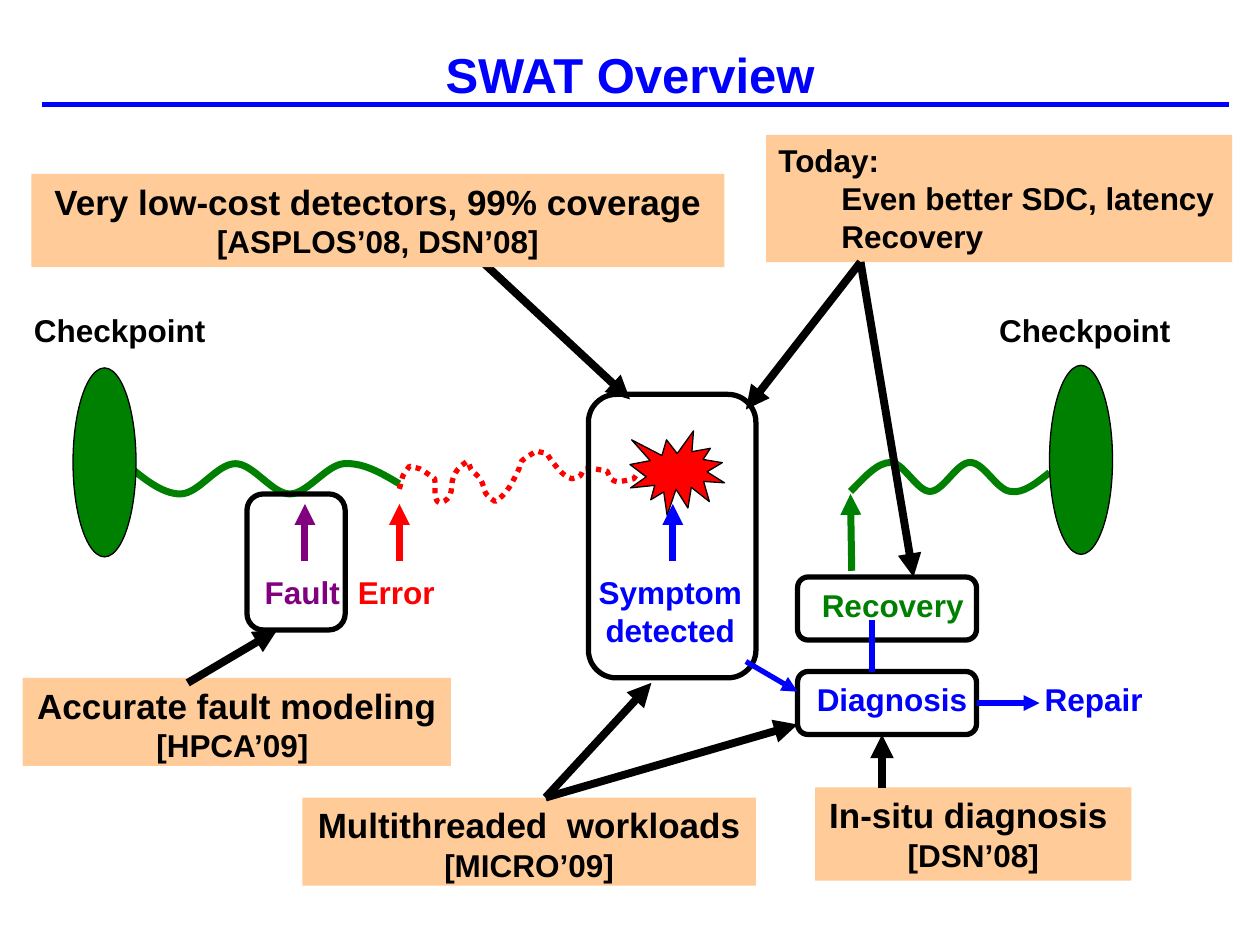
"""Build the SWAT overview slide."""
from lxml.etree import SubElement
from pptx import Presentation
from pptx.dml.color import RGBColor
from pptx.enum.dml import MSO_LINE as Dash
from pptx.enum.shapes import MSO_CONNECTOR as Link, MSO_SHAPE as Kind
from pptx.enum.text import MSO_ANCHOR as Anchor, PP_ALIGN as Align
from pptx.oxml.ns import qn
from pptx.util import Inches, Pt

BLACK = RGBColor(0, 0, 0)
BLUE = RGBColor(0, 0, 255)
GREEN = RGBColor(0, 128, 0)
RED = RGBColor(255, 0, 0)
PURPLE = RGBColor(128, 0, 128)
PEACH = RGBColor(255, 204, 153)

deck = Presentation()
deck.slide_width, deck.slide_height = Inches(10), Inches(7.5)
shapes = deck.slides.add_slide(deck.slide_layouts[6]).shapes


def write(frame, lines, sizes, color, align=Align.CENTER):
    frame.text = "\n".join(lines)
    for para, size in zip(frame.paragraphs, sizes):
        para.alignment = align
        para.font.name, para.font.size, para.font.bold = "Arial", Pt(size), True
        para.font.color.rgb = color


def join(x1, y1, x2, y2, color=BLACK, width=4.5, arrow=True):
    line = shapes.add_connector(Link.STRAIGHT, *map(Inches, (x1, y1, x2, y2)))
    line.line.color.rgb, line.line.width = color, Pt(width)
    if arrow:
        SubElement(line.line._get_or_add_ln(), qn("a:tailEnd"), type="triangle")
    SubElement(line._element.spPr, qn("a:effectLst"))


join(0.33, 0.83, 9.75, 0.83, BLUE, 3, False)
title = shapes.add_textbox(0, Inches(0.17), Inches(10), Inches(0.83)).text_frame
title.word_wrap = True
title.vertical_anchor = Anchor.MIDDLE
write(title, ["SWAT Overview"], [28], BLUE)

join(3.83, 2.08, 5, 3.17)

notes = [
    (6.47, 6.25, 2.51, 0.74, "In-situ diagnosis ", "[DSN’08]"),
    (0.25, 1.38, 5.5, 0.74, "Very low-cost detectors, 99% coverage", "[ASPLOS’08, DSN’08]"),
    (0.18, 5.38, 3.4, 0.7, "Accurate fault modeling", "[HPCA’09] "),
    (2.4, 6.33, 3.6, 0.7, "Multithreaded  workloads ", "[MICRO’09]"),
    (6.08, 1.07, 3.7, 1.01, "Today:", "Even better SDC, latency", "Recovery"),
]
for x, y, wide, high, *lines in notes:
    note = shapes.add_shape(Kind.RECTANGLE, *map(Inches, (x, y, wide, high)))
    note.shadow.inherit = False
    note.fill.solid()
    note.fill.fore_color.rgb = PEACH
    note.line.fill.background()
    frame = note.text_frame
    frame.vertical_anchor = Anchor.TOP
    if len(lines) == 2:
        write(frame, lines, [20, 18], BLACK)
    else:
        write(frame, lines, [18] * 3, BLACK, Align.LEFT)
        for para in frame.paragraphs[1:]:
            para._p.get_or_add_pPr().set("marL", str(Inches(0.5)))

figures = [
    (Kind.OVAL, 0.58, 2.92, 0.5, 1.5, GREEN),
    (Kind.OVAL, 8.33, 2.9, 0.5, 1.5, GREEN),
    (Kind.ROUNDED_RECTANGLE, 1.96, 3.92, 0.78, 1.08, None),
    (Kind.ROUNDED_RECTANGLE, 4.67, 3.13, 1.33, 2.25, None),
    (Kind.ROUNDED_RECTANGLE, 6.33, 4.58, 1.42, 0.5, None),
    (Kind.ROUNDED_RECTANGLE, 6.33, 5.33, 1.42, 0.5, None),
]
burst = (Kind.EXPLOSION1, 5, 3.42, 0.75, 0.67, RED)

waves = [
    (GREEN, 4, None, [
        (1, 3.68), (1.14, 3.8), (1.29, 3.92), (1.43, 3.92), (1.58, 3.92),
        (1.72, 3.68), (1.87, 3.68), (2.01, 3.68), (2.16, 3.92), (2.3, 3.92),
        (2.44, 3.92), (2.59, 3.69), (2.73, 3.68), (2.88, 3.67), (3.02, 3.75),
        (3.17, 3.84)]),
    (RED, 3, Dash.ROUND_DOT, [
        (3.17, 3.88), (3.21, 3.74), (3.18, 3.8), (3.25, 3.7), (3.27, 3.71),
        (3.3, 3.71), (3.33, 3.72), (3.37, 3.74), (3.45, 3.8), (3.45, 3.8),
        (3.46, 3.86), (3.44, 3.93), (3.47, 3.98), (3.49, 4), (3.53, 3.98),
        (3.55, 3.96), (3.59, 3.93), (3.58, 3.87), (3.59, 3.82), (3.61, 3.74),
        (3.64, 3.71), (3.71, 3.66), (3.73, 3.69), (3.73, 3.72), (3.75, 3.74),
        (3.77, 3.76), (3.8, 3.78), (3.81, 3.8), (3.87, 3.9), (3.81, 3.9),
        (3.93, 3.98), (4.03, 3.92), (4.07, 3.82), (4.12, 3.72), (4.13, 3.7),
        (4.12, 3.68), (4.14, 3.66), (4.17, 3.63), (4.26, 3.58), (4.26, 3.58),
        (4.28, 3.59), (4.32, 3.59), (4.34, 3.6), (4.36, 3.62), (4.36, 3.64),
        (4.38, 3.66), (4.43, 3.72), (4.47, 3.78), (4.54, 3.8), (4.56, 3.79),
        (4.59, 3.79), (4.6, 3.78), (4.62, 3.77), (4.62, 3.73), (4.64, 3.72),
        (4.7, 3.71), (4.76, 3.73), (4.82, 3.74), (4.86, 3.86), (4.92, 3.82),
        (5.03, 3.8), (5.08, 3.72), (5.1, 3.74), (5.17, 3.68)]),
    (GREEN, 4, None, [
        (6.75, 3.9), (6.86, 3.79), (6.96, 3.67), (7.07, 3.67), (7.17, 3.67),
        (7.28, 3.9), (7.38, 3.9), (7.49, 3.9), (7.59, 3.67), (7.7, 3.67),
        (7.81, 3.67), (7.91, 3.89), (8.02, 3.9), (8.12, 3.92), (8.23, 3.83),
        (8.33, 3.75)]),
]
for color, width, dash, spots in waves:
    spots = [(Inches(x), Inches(y)) for x, y in spots]
    pen = shapes.build_freeform(*spots[0])
    pen.add_line_segments(spots[1:], close=False)
    wave = pen.convert_to_shape()
    wave.shadow.inherit = False
    wave.fill.background()
    wave.line.color.rgb, wave.line.width = color, Pt(width)
    if dash:
        wave.line.dash_style = dash
    track = next(wave._element.iter(qn("a:path")))
    steps = track.findall(qn("a:lnTo"))
    for i in range(0, len(steps), 3):
        curve = SubElement(track, qn("a:cubicBezTo"))
        for step in steps[i:i + 3]:
            curve.append(step[0])
            track.remove(step)

for kind, x, y, wide, high, color in figures + [burst]:
    figure = shapes.add_shape(kind, *map(Inches, (x, y, wide, high)))
    figure.shadow.inherit = False
    figure.line.color.rgb = BLACK
    if color:
        figure.fill.solid()
        figure.fill.fore_color.rgb = color
        figure.line.width = Pt(0.75)
    else:
        figure.fill.background()
        figure.line.width = Pt(3)

labels = [
    (0.17, 2.42, 1.56, BLACK, "Checkpoint"),
    (7.83, 2.42, 1.56, BLACK, "Checkpoint"),
    (2, 4.5, 0.8, PURPLE, "Fault"),
    (2.74, 4.5, 0.81, RED, "Error"),
    (4.65, 4.5, 1.34, BLUE, "Symptom", "detected"),
    (6.42, 4.6, 1.33, GREEN, "Recovery"),
    (6.38, 5.35, 1.4, BLUE, "Diagnosis"),
    (8.19, 5.35, 0.98, BLUE, "Repair"),
]
for x, y, wide, color, *lines in labels:
    high = 0.1 + 0.3 * len(lines)
    label = shapes.add_textbox(*map(Inches, (x, y, wide, high)))
    label.text_frame.word_wrap = False
    write(label.text_frame, lines, [18] * len(lines), color)

for x, color in (2.42, PURPLE), (3.17, RED), (5.34, BLUE):
    join(x, 4.45, x, 4, color, 4)
join(6.76, 4.53, 6.75, 3.92, GREEN, 4)
join(5.92, 5.25, 6.33, 5.49, BLUE, 3)
join(7.75, 5.58, 8.25, 5.58, BLUE, 3)
join(6.92, 5.33, 6.92, 4.92, BLUE, 3, False)
join(7, 6.25, 7, 5.83)
join(1.49, 5.42, 2.2, 5)
for x, y in (5.17, 5.42), (6.33, 5.75):
    join(4.33, 6.33, x, y)
for x, y in (5.92, 3.25), (7.25, 4.58):
    join(6.83, 2.08, x, y)

deck.save("out.pptx")
